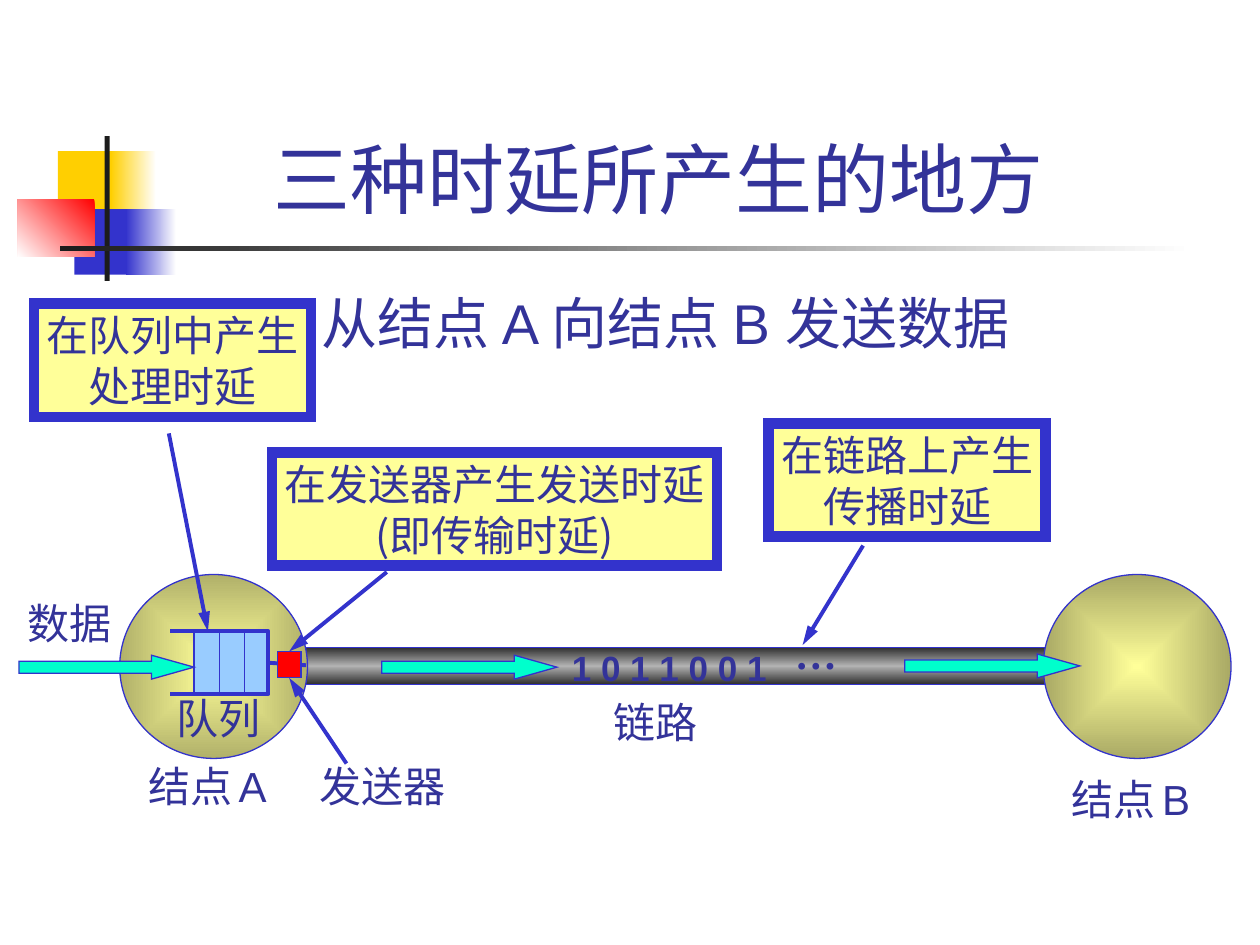
import pptx
import pptx.dml.color
import pptx.enum.shapes
import pptx.enum.text
import pptx.oxml
import pptx.oxml.ns
import pptx.util

Inches = pptx.util.Inches
Pt = pptx.util.Pt
RGB = pptx.dml.color.RGBColor
Shape = pptx.enum.shapes.MSO_SHAPE
Link = pptx.enum.shapes.MSO_CONNECTOR
Align = pptx.enum.text.PP_ALIGN
Anchor = pptx.enum.text.MSO_ANCHOR
Fit = pptx.enum.text.MSO_AUTO_SIZE
qn = pptx.oxml.ns.qn

WHITE = RGB(0xFF, 0xFF, 0xFF)
BLACK = RGB(0x1C, 0x1C, 0x1C)
GOLD = RGB(0xFF, 0xCF, 0x01)
RED = RGB(0xFF, 0x00, 0x00)
BLUE = RGB(0x33, 0x33, 0xCC)
INK = RGB(0x33, 0x33, 0x99)
SKY = RGB(0x99, 0xCC, 0xFF)
MINT = RGB(0x00, 0xFF, 0xCC)
CREAM = RGB(0xFF, 0xFF, 0x99)
OLIVE = RGB(0xB1, 0xB1, 0x6A)
MOSS = RGB(0xA9, 0xA9, 0x65)
DARK = RGB(0x30, 0x30, 0x30)
GREY = RGB(0xB2, 0xB2, 0xB2)

SANS = "Arial"
SERIF = "Times New Roman"
HAN = "Noto Sans CJK SC"


class Pen:
    """Draws on one slide in a single style."""

    thin, bold, frame = 0.75, 2.25, 6

    def __init__(self, slide):
        self.slide = slide
        self.shapes = slide.shapes

    def run(self, para, text, font=SERIF, size=24, bold=False):
        run = para.add_run()
        run.text = text
        run.font.name = font
        run.font.size = Pt(size)
        run.font.bold = bold
        run.font.color.rgb = INK
        east = pptx.oxml.parse_xml(
            f'<a:ea {pptx.oxml.ns.nsdecls("a")} typeface="{HAN}"/>')
        run.font._element.find(qn("a:latin")).addnext(east)

    def title(self, text, *box):
        head = self.shapes.title
        head.left, head.top, head.width, head.height = map(Inches, box)
        frame = head.text_frame
        frame.vertical_anchor = Anchor.BOTTOM
        frame.paragraphs[0].alignment = Align.CENTER
        self.run(frame.paragraphs[0], text, SANS, 44)

    def trim(self, item, tag, **values):
        """Add a join or an arrowhead to the outline."""
        edge = item.line._get_or_add_ln()
        edge.append(edge.makeelement(qn(tag), values))

    def shape(self, box, fill, kind=Shape.RECTANGLE, line=thin):
        item = self.shapes.add_shape(kind, *map(Inches, box))
        item.shadow.inherit = False
        item.fill.solid()
        item.fill.fore_color.rgb = fill
        if line:
            item.line.color.rgb = BLUE
            item.line.width = Pt(line)
            self.trim(item, "a:miter", lim="800000")
        else:
            item.line.fill.background()
        return item

    def blend(self, box, tones, angle=None, **style):
        """Gradient shape: linear at an angle, or from the centre without one."""
        item = self.shape(box, tones[0], **style)
        last = len(tones) - 1
        stops = "".join(
            f'<a:gs pos="{100000 * i // last}"><a:srgbClr val="{tone}"/></a:gs>'
            for i, tone in enumerate(tones))
        if angle is None:
            way = ('<a:path path="rect"><a:fillToRect l="50000" t="50000" '
                   'r="50000" b="50000"/></a:path>')
        else:
            way = f'<a:lin ang="{angle * 60000}" scaled="0"/>'
        solid = item._element.spPr.find(qn("a:solidFill"))
        solid.getparent().replace(solid, pptx.oxml.parse_xml(
            f'<a:gradFill {pptx.oxml.ns.nsdecls("a")} rotWithShape="1">'
            f'<a:gsLst>{stops}</a:gsLst>{way}</a:gradFill>'))
        return item

    def arrow(self, left, top):
        item = self.shape((left, top, 1.39, 0.19), MINT, Shape.RIGHT_ARROW)
        item.adjustments[0] = 0.5
        item.adjustments[1] = 1.78

    def line(self, start, end, width=bold, tip=False):
        item = self.shapes.add_connector(
            Link.STRAIGHT, *map(Inches, (*start, *end)))
        item.line.color.rgb = BLUE
        item.line.width = Pt(width)
        if tip:
            self.trim(item, "a:tailEnd", type="triangle", w="med", len="lg")
        props = item._element.spPr
        props.append(props.makeelement(qn("a:effectLst"), {}))
        return item

    def track(self, points):
        """Open, unfilled outline."""
        spots = [tuple(map(Inches, point)) for point in points]
        build = self.shapes.build_freeform(*spots[0])
        build.add_line_segments(spots[1:], close=False)
        item = build.convert_to_shape()
        item.shadow.inherit = False
        item.fill.background()
        item.line.color.rgb = BLUE
        item.line.width = Pt(self.bold)

    def label(self, box, *runs):
        """Text box; each run is (text, font, size, bold), the last three optional."""
        frame = self.shapes.add_textbox(*map(Inches, box)).text_frame
        frame.word_wrap = False
        frame.auto_size = Fit.SHAPE_TO_FIT_TEXT
        for run in runs:
            self.run(frame.paragraphs[0], *run)

    def note(self, box, *lines):
        frame = self.shape(box, CREAM, line=self.frame).text_frame
        frame.word_wrap = False
        frame.auto_size = Fit.SHAPE_TO_FIT_TEXT
        for i, text in enumerate(lines):
            para = frame.add_paragraph() if i else frame.paragraphs[0]
            para.alignment = Align.CENTER
            self.run(para, text, HAN)


def main():
    deck = pptx.Presentation()
    deck.slide_width, deck.slide_height = Inches(10), Inches(7.5)
    pen = Pen(deck.slides.add_slide(deck.slide_layouts[5]))

    # Corner ornament and title
    pen.shape((0.46, 1.2, 0.48, 0.52), GOLD, line=0)
    pen.blend((0.88, 1.2, 0.36, 0.52), (WHITE, GOLD), 180, line=0)
    pen.shape((0.59, 1.66, 0.46, 0.52), BLUE, line=0)
    pen.blend((1, 1.66, 0.4, 0.52), (WHITE, BLUE), 180, line=0)
    pen.blend((0.14, 1.58, 0.61, 0.46), (RED, WHITE), 135, line=0)
    pen.shape((0.83, 1.08, 0.04, 1.15), BLACK, line=0)
    pen.blend((0.48, 1.95, 9, 0.04), (WHITE, BLACK), 180, line=0)
    pen.title("三种时延所产生的地方 ", 1.38, 0.23, 7.84, 1.6)

    # Link and the two nodes
    pen.blend((2.34, 5.14, 6.04, 0.29), (DARK, GREY, DARK), 90)
    for left, edge in ((0.95, OLIVE), (8.28, MOSS)):
        pen.blend((left, 4.56, 1.49, 1.46), (CREAM, edge), kind=Shape.OVAL)

    # Queue and sender
    left, top, right, base = 1.54, 5.01, 2.13, 5.51
    queue = pen.shape((left, top, right - left, base - top), SKY)
    pen.track([(1.35, top), (right, top), (right, base), (1.35, base)])
    for i in range(3):
        x = left + 0.2 * i
        pen.line((x, top), (x, base), pen.thin)
    wire = pen.line((right, 5.27), (2.43, 5.28))
    wire.begin_connect(queue, 3)
    sender = pen.shape((2.2, 5.17, 0.19, 0.21), RED)

    # Data flow
    for spot in ((3.03, 5.2), (0.15, 5.2), (7.18, 5.19)):
        pen.arrow(*spot)
    pen.label((4.44, 5.08, 1.75, 0.44), ("1 0 1 1 0 0 1", SANS, 20, True))
    pen.label((6.21, 4.93, 0.53, 0.5), ("…", SERIF, 24, True))

    # Names of the parts, each box a little wider than its text
    for text, x, y in (("发送器", 2.44, 5.99), ("队列", 1.3, 5.45),
                       ("数据", 0.12, 4.69), ("链路", 4.77, 5.48)):
        pen.label((x, y, 0.24 + len(text) / 3, 0.5), (text,))
    for name, x, y in (("A", 1.08, 5.99), ("B", 8.41, 6.09)):
        pen.label((x, y, 1.2, 0.5), ("结点",), (" ", SANS, 16), (name, SANS))
    pen.label((2.45, 2.24, 6.11, 0.64), ("从结点 A 向结点 B 发送数据", SANS, 32))

    # Delay notes and pointers
    pen.note((6.1, 3.36, 2.2, 0.9), "在链路上产生", "传播时延")
    pen.note((2.16, 3.59, 3.53, 0.9), "在发送器产生发送时延", "(即传输时延)")
    pen.line((6.85, 4.33), (6.37, 5.12), tip=True)
    for start, end, side in (((3.07, 4.54), (2.3, 5.17), 0),
                             ((2.75, 6.06), (2.3, 5.38), 2)):
        pen.line(start, end, tip=True).end_connect(sender, side)
    pen.line((1.34, 3.44), (1.65, 5.01), tip=True)
    pen.note((0.27, 2.41, 2.2, 0.9), "在队列中产生", "处理时延")

    deck.save("out.pptx")


if __name__ == "__main__":
    main()
